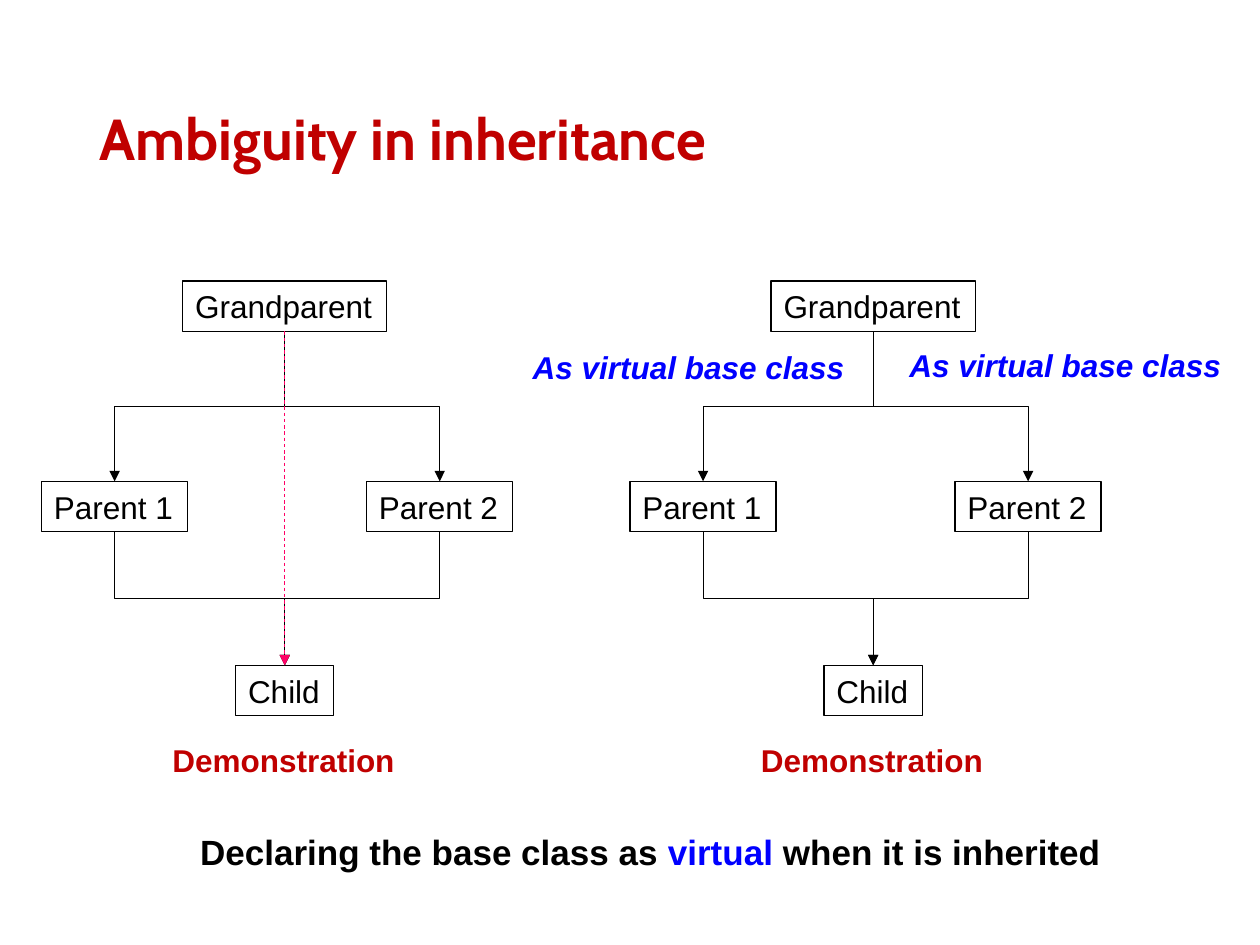
from lxml import etree
from pptx import Presentation, util as u
from pptx.dml.color import RGBColor
from pptx.enum import dml, shapes, text
from pptx.oxml.ns import qn

BLACK, RED, BLUE, PINK = "000000", "C00000", "0000FF", "FF0066"

# Content: class boxes as label, left (from the tree's edge), top, width
TITLE = "Ambiguity in inheritance"
CLASSES = [
    ("Grandparent", 1.12, 2.23, 1.62),
    ("Parent 1", 0, 3.82, 1.16),
    ("Parent 2", 2.58, 3.82, 1.16),
    ("Child", 1.54, 5.28, 0.78),
]
INHERITS = [
    ("Grandparent", "Parent 1"), ("Grandparent", "Parent 2"),
    ("Parent 1", "Child"), ("Parent 2", "Child"),
]
# Each tree: left edge, then its notes as left, top
TREES = [(0.33, []), (5, [(4.13, 2.71), (7.12, 2.7)])]
NOTE, CAPTION = "As virtual base class", "Demonstration"
SUMMARY = [("Declaring the base class as ", BLACK), ("virtual", BLUE),
           (" when it is inherited", BLACK)]
ROW = 0.4
BOTTOM, TOP = 2, 0  # connection sites of a rectangle


def color(value):
    return RGBColor.from_string(value)


def inches(*values):
    return [u.Inches(v) for v in values]


def write(frame, runs, size, font="Arial", bold=False, italic=False):
    paragraph = frame.paragraphs[0]
    for words, shade in runs:
        run = paragraph.add_run()
        run.text = words
        run.font.name, run.font.size = font, u.Pt(size)
        run.font.bold, run.font.italic = bold, italic
        run.font.color.rgb = color(shade)
    return paragraph


def add_label(parent, place, runs, size=18, italic=False, wrap=False):
    frame = parent.add_textbox(*inches(*place)).text_frame
    frame.word_wrap = wrap
    write(frame, runs, size, bold=True, italic=italic)


def add_class(parent, label, place):
    box = parent.add_shape(shapes.MSO_SHAPE.RECTANGLE, *inches(*place))
    box.shadow.inherit = False
    box.fill.background()
    box.line.color.rgb, box.line.width = color(BLACK), u.Pt(0.75)
    box.text_frame.word_wrap = False
    write(box.text_frame, [(label, BLACK)], 18).alignment = text.PP_ALIGN.LEFT
    return box


def add_arrow(parent, kind, start, end, shade):
    arrow = parent.add_connector(kind, 0, 0, 0, 0)
    arrow.begin_connect(start, BOTTOM)
    arrow.end_connect(end, TOP)
    arrow.line.color.rgb, arrow.line.width = color(shade), u.Pt(0.5)
    etree.SubElement(arrow.line._get_or_add_ln(), qn("a:tailEnd"), type="triangle")
    etree.SubElement(arrow._element.spPr, qn("a:effectLst"))
    return arrow


def add_elbow(parent, start, end):
    """Vertical elbow: the preset runs sideways, so turn it about its centre."""
    elbow = add_arrow(parent, shapes.MSO_CONNECTOR.ELBOW, start, end, BLACK)
    x1, y1 = start.left + start.width // 2, start.top + start.height
    x2, y2 = end.left + end.width // 2, end.top
    length, breadth = y2 - y1, abs(x2 - x1)
    elbow.left, elbow.top = (x1 + x2 - length) // 2, (y1 + y2 - breadth) // 2
    elbow.width, elbow.height = length, breadth
    rightward = x2 > x1
    xfrm = elbow._element.spPr.find(qn("a:xfrm"))
    xfrm.set("rot", str((270 if rightward else 90) * 60000))
    xfrm.set("flipH", "1" if rightward else "0")
    xfrm.set("flipV", "0")


def main():
    deck = Presentation()
    deck.slide_width, deck.slide_height = inches(10, 7.5)
    slide = deck.slides.add_slide(deck.slide_layouts[5])

    # Title
    title = slide.shapes.title
    title.left, title.top, title.width, title.height = inches(0.69, 0.4, 8.62, 1.45)
    title.text_frame.vertical_anchor = text.MSO_ANCHOR.MIDDLE
    heading = write(title.text_frame, [(TITLE, RED)], 33, "Cabin", bold=True)
    heading.alignment, heading.line_spacing = text.PP_ALIGN.LEFT, 0.9

    # Inheritance trees with their notes and captions
    trees = []
    for left, notes in TREES:
        tree = slide.shapes.add_group_shape().shapes
        boxes = {label: add_class(tree, label, (left + x, y, width, ROW))
                 for label, x, y, width in CLASSES}
        for base, derived in INHERITS:
            add_elbow(tree, boxes[base], boxes[derived])
        for x, y in notes:
            add_label(tree, (x, y, 2.7, ROW), [(NOTE, BLUE)], italic=True)
        add_label(slide.shapes, (left + 0.94, 5.83, 1.98, ROW), [(CAPTION, RED)])
        trees.append(boxes)

    # Ambiguous path in the first tree
    path = add_arrow(slide.shapes, shapes.MSO_CONNECTOR.STRAIGHT,
                     trees[0]["Grandparent"], trees[0]["Child"], PINK)
    path.line.dash_style = dml.MSO_LINE.DASH

    # Summary
    add_label(slide.shapes, (1.49, 6.54, 7.9, 0.44), SUMMARY, size=20, wrap=True)

    deck.save("out.pptx")


if __name__ == "__main__":
    main()
